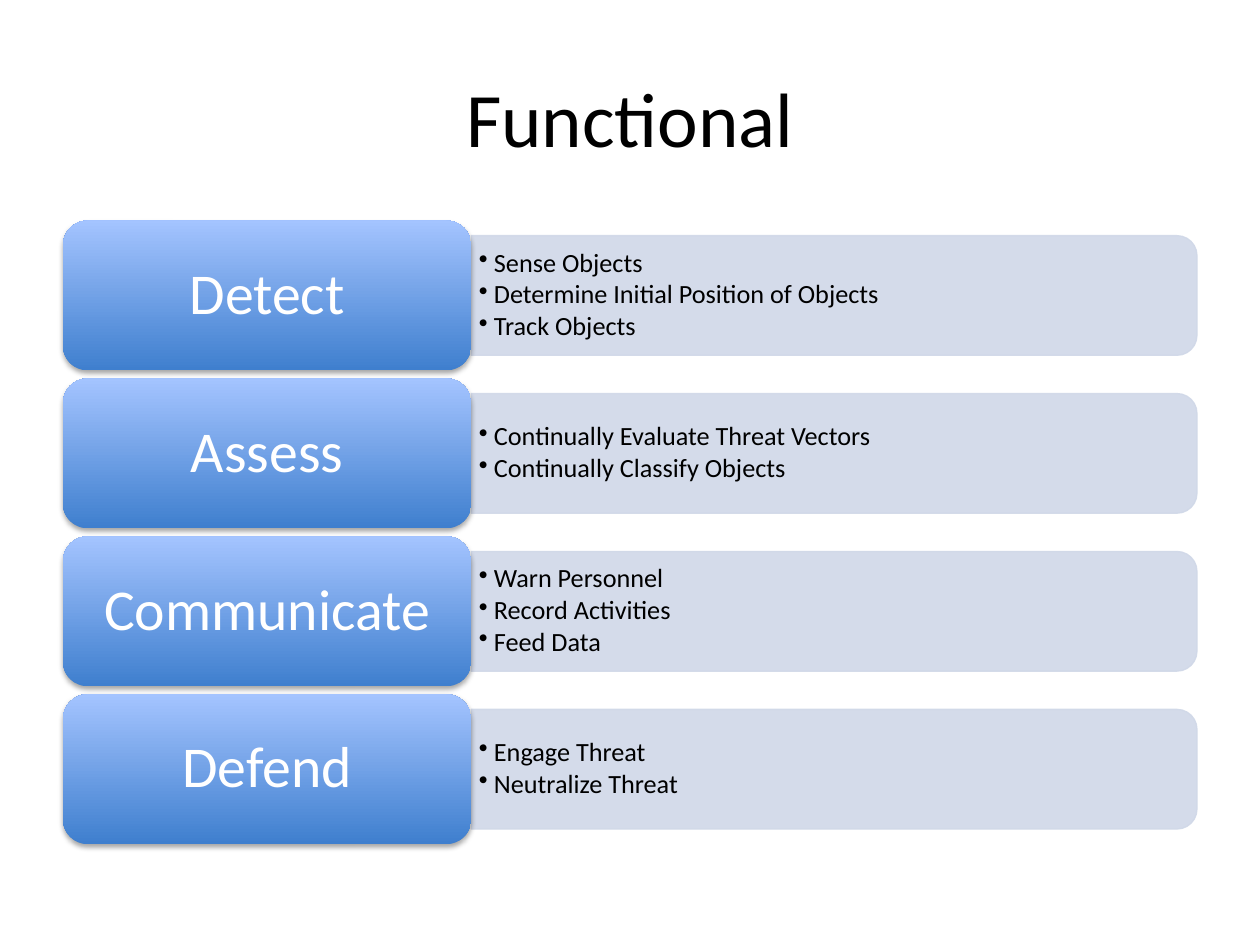
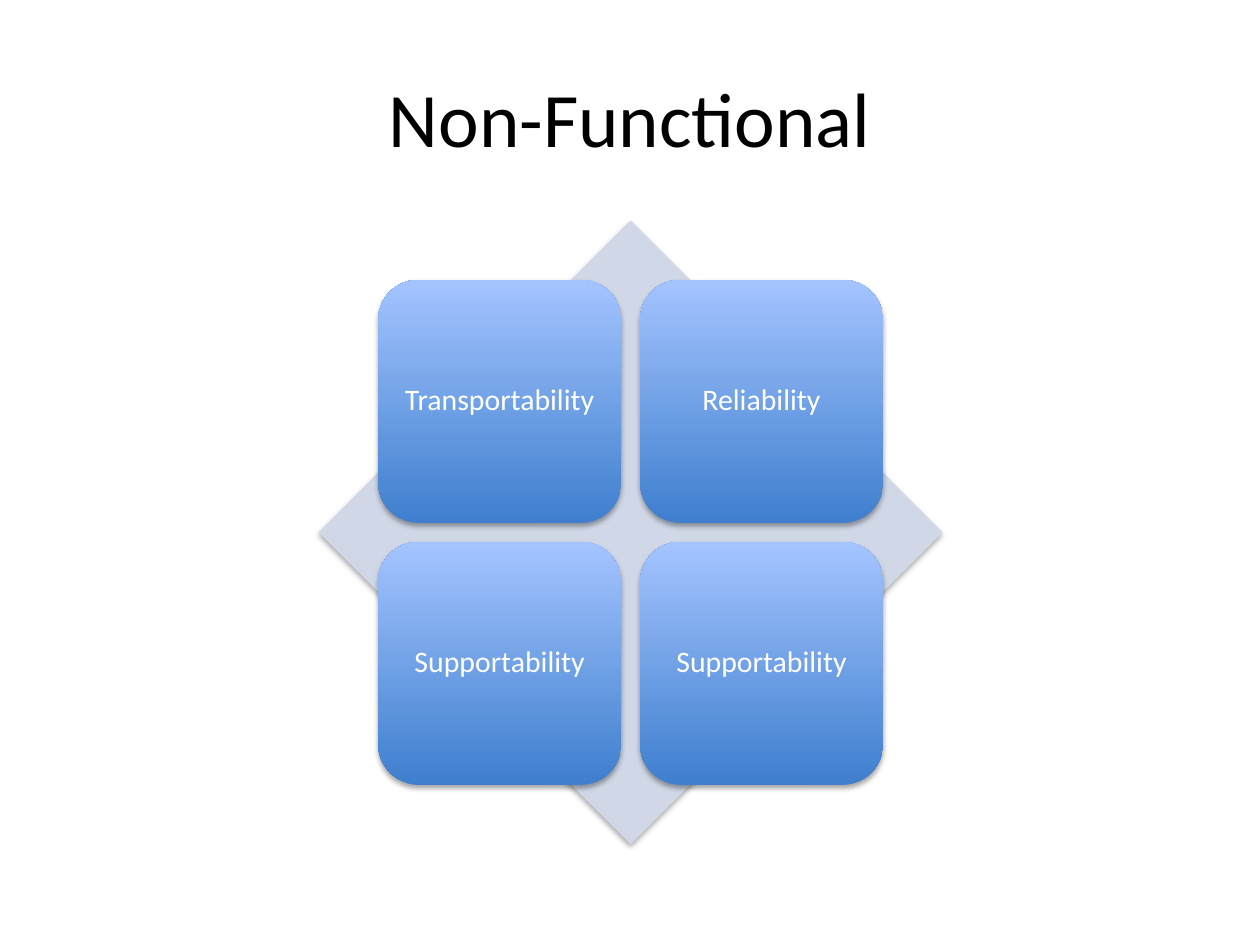
from lxml import etree
from pptx import Presentation
from pptx.dml.color import RGBColor
from pptx.enum.shapes import MSO_SHAPE
from pptx.enum.text import MSO_ANCHOR, PP_ALIGN
from pptx.oxml.ns import qn
from pptx.util import Inches, Pt

ROUNDED = MSO_SHAPE.ROUNDED_RECTANGLE
ROUNDED_TOP = MSO_SHAPE.ROUND_2_SAME_RECTANGLE
DIAMOND = MSO_SHAPE.DIAMOND
MIDDLE = MSO_ANCHOR.MIDDLE
CENTER, LEFT = PP_ALIGN.CENTER, PP_ALIGN.LEFT

# Shared look
FONT = "Calibri"
BLACK, WHITE = "000000", "FFFFFF"
PALE_BLUE = "D0D8E8"
TILE_BOTTOM, TILE_TOP = "3F7FCE", "A4C4FF"
TITLE_BOX = (0.5, 0.3, 9, 1.25)
LIST_BOX = (0.5, 1.75, 9, 4.95)
MATRIX_BOX = (2.53, 1.75, 4.95, 4.95)

FUNCTIONS = [
    ("Detect", ["Sense Objects", "Determine Initial Position of Objects", "Track Objects"]),
    ("Assess", ["Continually Evaluate Threat Vectors", "Continually Classify Objects"]),
    ("Communicate", ["Warn Personnel", "Record Activities", "Feed Data"]),
    ("Defend", ["Engage Threat", "Neutralize Threat"]),
]
QUALITIES = ["Transportability", "Reliability", "Supportability", "Supportability"]


def color(hex_value):
    return RGBColor.from_string(hex_value)


def add_child(parent, tag, **attributes):
    child = etree.SubElement(parent, qn(tag))
    for name, value in attributes.items():
        child.set(name, str(value))
    return child


def style_para(para, size, hex_value, align):
    para.alignment = align
    para.font.name = FONT
    para.font.size = Pt(size)
    para.font.color.rgb = color(hex_value)


def set_frame(frame, side, top):
    frame.word_wrap = True
    frame.vertical_anchor = MIDDLE
    frame.margin_left = frame.margin_right = Inches(side)
    frame.margin_top = frame.margin_bottom = Inches(top)


def add_flat_shape(page, kind, box):
    shape = page.shapes.add_shape(kind, *map(Inches, box))
    shape.shadow.inherit = False
    shape.fill.solid()
    shape.fill.fore_color.rgb = color(PALE_BLUE)
    shape.line.fill.background()
    return shape


def add_shadow(shape):
    effects = shape._element.spPr.find(qn("a:effectLst"))
    shadow = add_child(effects, "a:outerShdw", blurRad=Pt(3.1), dist=Pt(1.8),
                       dir=90 * 60000, rotWithShape=0)
    shade = add_child(shadow, "a:srgbClr", val=BLACK)
    add_child(shade, "a:alpha", val=35000)


def add_tile(page, box, label, size, side_margin):
    """Rounded gradient tile with a centred label."""
    tile = add_flat_shape(page, ROUNDED, box)
    tile.fill.gradient()
    tile.fill.gradient_angle = 90
    for stop, shade in zip(tile.fill.gradient_stops, (TILE_BOTTOM, TILE_TOP)):
        stop.color.rgb = color(shade)
    add_shadow(tile)
    set_frame(tile.text_frame, side_margin, 0.07)
    para = tile.text_frame.paragraphs[0]
    para.text = label
    para.line_spacing = 0.9
    style_para(para, size, WHITE, CENTER)


def add_bar(page, box):
    """Translucent bar, turned so that its rounded end faces right."""
    left, top, width, height = box
    turned_box = (left + (width - height) / 2, top + (height - width) / 2, height, width)
    bar = add_flat_shape(page, ROUNDED_TOP, turned_box)
    bar.rotation = 90
    bar.line.color.rgb = color(PALE_BLUE)
    bar.line.width = Pt(0.75)
    for shade in bar._element.spPr.iter(qn("a:srgbClr")):
        add_child(shade, "a:alpha", val=90000)


def add_bullets(page, box, items):
    frame = page.shapes.add_textbox(*map(Inches, box)).text_frame
    set_frame(frame, 0.06, 0.03)
    for index, item in enumerate(items):
        para = frame.paragraphs[0] if index == 0 else frame.add_paragraph()
        para.text = item
        properties = para._p.get_or_add_pPr()
        properties.set("marL", str(Inches(0.12)))
        properties.set("indent", str(Inches(-0.12)))
        add_child(properties, "a:buChar", char="•")
        para.line_spacing = 0.9
        para.space_after = Pt(2)
        style_para(para, 15, BLACK, LEFT)


def add_function_list(page, box):
    """Rows of a label tile and a bar with its bullets."""
    left, top, width, height = box
    tile_width, tile_height, bar_height = 0.36 * width, 1.19, 0.95
    pitch = (height - tile_height) / (len(FUNCTIONS) - 1)
    bar_left, bar_width = left + tile_width, width - tile_width
    for row, (label, items) in enumerate(FUNCTIONS):
        row_top = top + row * pitch
        bar_top = row_top + (tile_height - bar_height) / 2
        add_bar(page, (bar_left, bar_top, bar_width, bar_height))
        add_bullets(page, (bar_left, bar_top + 0.05, bar_width - 0.05, bar_height - 0.1), items)
        add_tile(page, (left, row_top, tile_width, tile_height), label, 33, 0.14)


def add_quality_matrix(page, box):
    """Diamond behind a two by two grid of tiles."""
    left, top, width, _ = box
    add_shadow(add_flat_shape(page, DIAMOND, box))
    tile_size, inset = 0.39 * width, 0.095 * width
    pitch = width - 2 * inset - tile_size
    for index, label in enumerate(QUALITIES):
        row, column = divmod(index, 2)
        tile_box = (left + inset + column * pitch, top + inset + row * pitch,
                    tile_size, tile_size)
        add_tile(page, tile_box, label, 17, 0.07)


def add_page(deck, heading):
    page = deck.slides.add_slide(deck.slide_layouts[5])
    title = page.shapes.title
    title.left, title.top, title.width, title.height = map(Inches, TITLE_BOX)
    title.text_frame.text = heading
    title.text_frame.vertical_anchor = MIDDLE
    style_para(title.text_frame.paragraphs[0], 44, BLACK, CENTER)
    return page


def main():
    deck = Presentation()
    deck.slide_width, deck.slide_height = Inches(10), Inches(7.5)
    add_function_list(add_page(deck, "Functional"), LIST_BOX)
    add_quality_matrix(add_page(deck, "Non-Functional"), MATRIX_BOX)
    deck.save("out.pptx")


if __name__ == "__main__":
    main()
